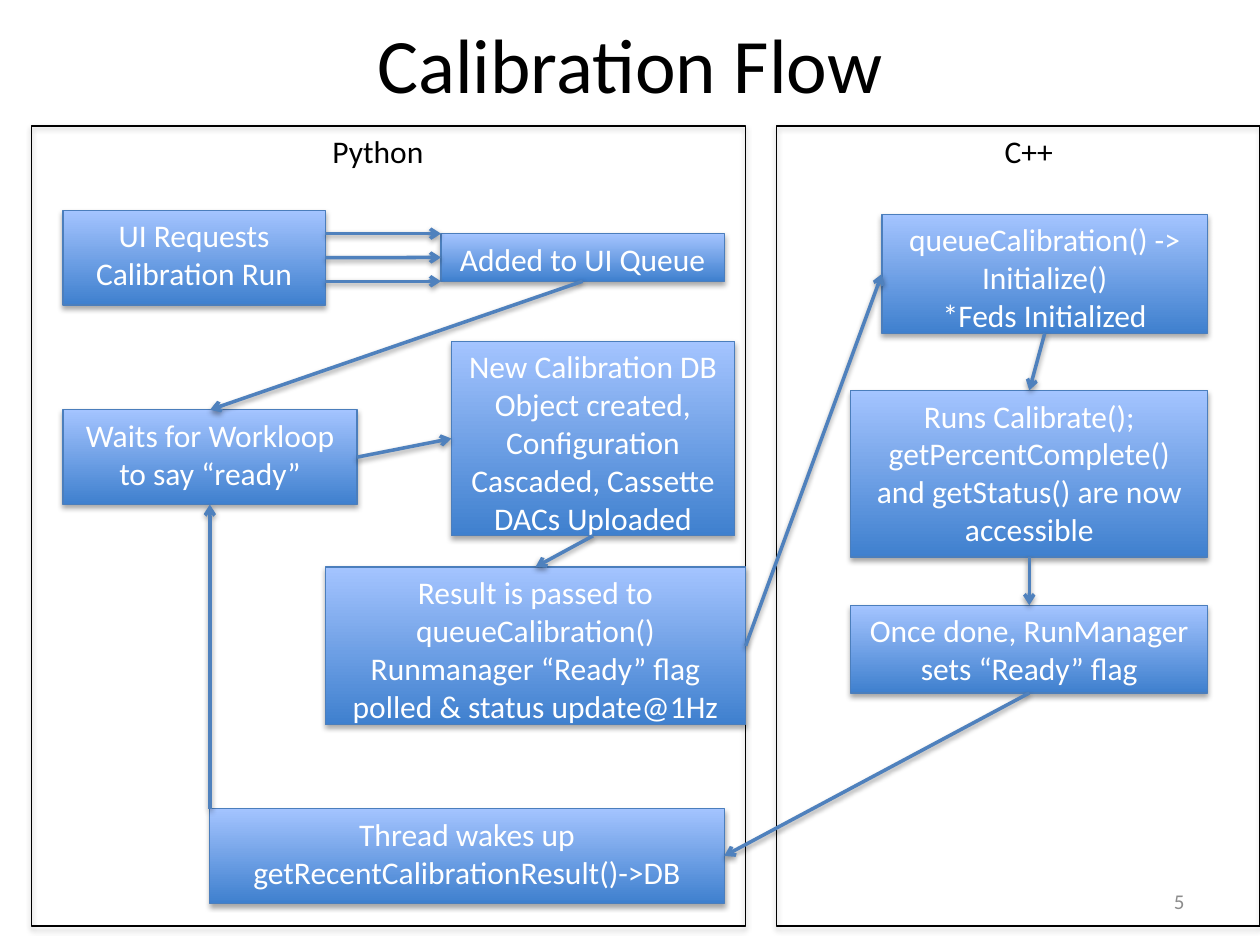
from dataclasses import dataclass
from typing import NamedTuple

from lxml import etree
from pptx import Presentation
from pptx import util as u
from pptx.dml.color import RGBColor
from pptx.enum import shapes, text
from pptx.oxml import ns


@dataclass(frozen=True)
class Theme:
    font: str = "Calibri"
    title_size: int = 44
    body_size: int = 18
    number_size: int = 12
    black: str = "000000"
    white: str = "FFFFFF"
    grey: str = "8C8C8C"
    box_bottom: str = "3F80CE"
    box_top: str = "A4C4FF"
    box_line: str = "4B7EBC"
    arrow: str = "4F81BD"


class Area(NamedTuple):
    """Left, top, width and height in centimetres."""
    left: float
    top: float
    width: float
    height: float

    def lengths(self) -> list:
        return [u.Cm(value) for value in self]


class Step(NamedTuple):
    name: str
    area: Area
    paragraphs: list


class Panel(NamedTuple):
    label: str
    area: Area
    label_area: Area


class Link(NamedTuple):
    start: str
    start_site: int
    end: str
    end_site: int


THEME = Theme()
TOP, LEFT, BOTTOM, RIGHT = range(4)

PANELS = [
    Panel("Python", Area(0.64, 2.54, 14.39, 16.13), Area(5.61, 2.54, 4.02, 1.03)),
    Panel("C++", Area(15.66, 2.54, 9.74, 16.13), Area(18.73, 2.54, 4.02, 1.03)),
]
STEPS = [
    Step("request", Area(1.27, 4.24, 5.29, 1.91), ["UI Requests Calibration Run"]),
    Step("queue", Area(8.89, 4.71, 5.71, 0.96), ["Added to UI Queue"]),
    Step("wait", Area(1.27, 8.26, 5.93, 1.91), ["Waits for Workloop to say “ready”"]),
    Step("configure", Area(9.1, 6.88, 5.71, 3.92),
         ["New Calibration DB Object created, Configuration Cascaded, Cassette DACs Uploaded"]),
    Step("poll", Area(6.56, 11.43, 8.47, 3.18),
         ["Result is passed to queueCalibration()",
          "Runmanager “Ready” flag polled & status update@1Hz"]),
    Step("initialize", Area(17.78, 4.32, 6.56, 2.4),
         ["queueCalibration() -> Initialize()", "*Feds Initialized"]),
    Step("calibrate", Area(17.15, 7.87, 7.2, 3.36),
         ["Runs Calibrate();", "getPercentComplete() and getStatus() are now accessible"]),
    Step("done", Area(17.15, 12.2, 7.2, 1.77), ["Once done, RunManager sets “Ready” flag"]),
    Step("wake", Area(4.23, 16.3, 10.37, 1.91),
         ["Thread wakes up\ngetRecentCalibrationResult()->DB"]),
]
LINKS = [
    Link("request", RIGHT, "queue", LEFT),
    Link("queue", BOTTOM, "wait", TOP),
    Link("wait", RIGHT, "configure", LEFT),
    Link("configure", BOTTOM, "poll", TOP),
    Link("poll", RIGHT, "initialize", LEFT),
    Link("initialize", BOTTOM, "calibrate", TOP),
    Link("calibrate", BOTTOM, "done", TOP),
    Link("done", BOTTOM, "wake", RIGHT),
]


def color(value: str) -> RGBColor:
    return RGBColor.from_string(value)


def add_shadow(shape, opacity: int, distance: float) -> None:
    effects = etree.SubElement(shape.element.spPr, ns.qn("a:effectLst"))
    shadow = etree.SubElement(effects, ns.qn("a:outerShdw"), blurRad=str(u.Pt(3.15)),
                              dist=str(u.Pt(distance)), dir="5400000", rotWithShape="0")
    black = etree.SubElement(shadow, ns.qn("a:srgbClr"), val=THEME.black)
    etree.SubElement(black, ns.qn("a:alpha"), val=str(opacity * 1000))


def write(shape, paragraphs: list, size: int, ink: str,
          align=text.PP_ALIGN.CENTER, anchor=text.MSO_ANCHOR.TOP) -> None:
    frame = shape.text_frame
    frame.word_wrap = True
    frame.vertical_anchor = anchor
    for index, content in enumerate(paragraphs):
        paragraph = frame.add_paragraph() if index else frame.paragraphs[0]
        paragraph.alignment = align
        for number, line in enumerate(content.split("\n")):
            if number:
                paragraph.add_line_break()
            run = paragraph.add_run()
            run.text = line
            run.font.name = THEME.font
            run.font.size = u.Pt(size)
            run.font.color.rgb = color(ink)


def add_box(slide, area: Area, outline: str, filled: bool):
    shape = slide.shapes.add_shape(shapes.MSO_SHAPE.RECTANGLE, *area.lengths())
    if filled:
        shape.fill.gradient()
        shape.fill.gradient_angle = 90
        for stop, shade in zip(shape.fill.gradient_stops, (THEME.box_bottom, THEME.box_top)):
            stop.color.rgb = color(shade)
    else:
        shape.fill.background()
    shape.line.color.rgb = color(outline)
    shape.line.width = u.Pt(0.75)
    add_shadow(shape, 35, 1.81)
    return shape


def add_arrow(slide, start: tuple = (0, 0), end: tuple = (0, 0)):
    points = [u.Cm(value) for value in (*start, *end)]
    arrow = slide.shapes.add_connector(shapes.MSO_CONNECTOR.STRAIGHT, *points)
    arrow.line.color.rgb = color(THEME.arrow)
    arrow.line.width = u.Pt(2)
    etree.SubElement(arrow.element.spPr.find(ns.qn("a:ln")), ns.qn("a:tailEnd"), type="arrow")
    add_shadow(arrow, 38, 1.57)
    return arrow


def main() -> None:
    presentation = Presentation()
    presentation.slide_width, presentation.slide_height = u.Cm(25.4), u.Cm(19.05)
    slide = presentation.slides.add_slide(presentation.slide_layouts[5])

    # Title
    title = slide.shapes.title
    title.left, title.top, title.width, title.height = Area(1.27, 0, 22.86, 2.54).lengths()
    write(title, ["Calibration Flow"], THEME.title_size, THEME.black,
          anchor=text.MSO_ANCHOR.MIDDLE)

    # Language panels
    for panel in PANELS:
        add_box(slide, panel.area, THEME.black, filled=False)
        label = slide.shapes.add_textbox(*panel.label_area.lengths())
        write(label, [panel.label], THEME.body_size, THEME.black)

    # Steps
    boxes = {}
    for step in STEPS:
        boxes[step.name] = add_box(slide, step.area, THEME.box_line, filled=True)
        write(boxes[step.name], step.paragraphs, THEME.body_size, THEME.white)

    # Arrows glued to the steps
    for link in LINKS:
        arrow = add_arrow(slide)
        arrow.begin_connect(boxes[link.start], link.start_site)
        arrow.end_connect(boxes[link.end], link.end_site)

    # Further requests, and the return to waiting
    for height in (4.71, 5.67):
        add_arrow(slide, (6.56, height), (8.89, height))
    add_arrow(slide, (4.23, 16.3), (4.23, 10.17))

    # Slide number
    number = slide.shapes.add_textbox(*Area(18.2, 17.65, 5.93, 1.02).lengths())
    write(number, ["5"], THEME.number_size, THEME.grey,
          text.PP_ALIGN.RIGHT, text.MSO_ANCHOR.MIDDLE)

    presentation.save("out.pptx")


main()
